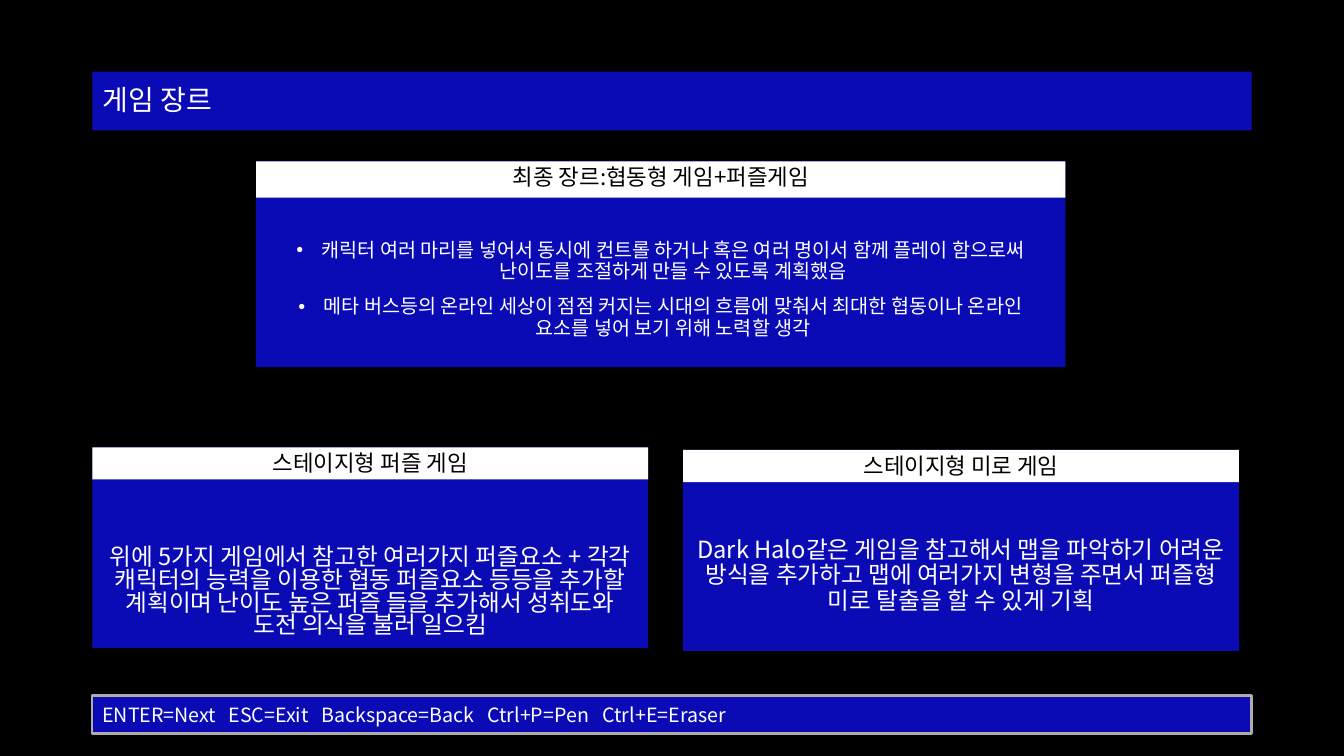
from lxml import etree
from pptx import Presentation, util as u
from pptx.dml.color import RGBColor
from pptx.enum import shapes, text
from pptx.oxml.ns import qn

FONT = "Noto Sans CJK KR"
BLUE, WHITE, BLACK, GRAY = "0B0BB6", "FFFFFF", "000000", "AFABAB"
LEFT, CENTER = text.PP_ALIGN.LEFT, text.PP_ALIGN.CENTER
TOP, MIDDLE = text.MSO_ANCHOR.TOP, text.MSO_ANCHOR.MIDDLE


def paint(color_holder, color):
    """Apply a hex colour to a fill or a line fill."""
    color_holder.solid()
    color_holder.fore_color.rgb = RGBColor.from_string(color)


def place(shape, box):
    shape.left, shape.top, shape.width, shape.height = map(u.Pt, box)


def add_bar(slide, box, color):
    bar = slide.shapes.add_shape(shapes.MSO_SHAPE.RECTANGLE, *map(u.Pt, box))
    bar.shadow.inherit = False
    paint(bar.fill, color)
    bar.line.fill.background()
    return bar


def write(shape, lines, size, color=WHITE, align=CENTER, anchor=TOP,
          spacing=0.9, bullets=False, inset=3.6):
    frame = shape.text_frame
    frame.text = "\n".join(lines)
    frame.word_wrap = True
    frame.auto_size = text.MSO_AUTO_SIZE.NONE
    frame.vertical_anchor = anchor
    frame.margin_top = u.Pt(inset)
    for index, paragraph in enumerate(frame.paragraphs):
        paragraph.alignment = align
        paragraph.line_spacing = spacing
        paragraph.space_before = u.Pt(10 if index else 0)
        # Bullet and hanging indent
        properties = paragraph._p.get_or_add_pPr()
        if shape.is_placeholder:
            indent = u.Pt(18) if bullets else 0
            properties.set("marL", str(indent))
            properties.set("indent", str(-indent))
        if bullets:
            etree.SubElement(properties, qn("a:buFont"), typeface="Arial")
            etree.SubElement(properties, qn("a:buChar"), char="•")
        else:
            etree.SubElement(properties, qn("a:buNone"))
        # Font, for Latin and Korean letters, without pair kerning
        font = paragraph.font
        font.size, font.bold, font.name = u.Pt(size), False, FONT
        paint(font.fill, color)
        font._rPr.set("kern", "0")
        etree.SubElement(font._rPr, qn("a:ea"), typeface=FONT)


def add_title(slide, box, title):
    shape = slide.shapes.title
    place(shape, box)
    paint(shape.fill, BLUE)
    write(shape, [title], 20, align=LEFT, anchor=MIDDLE)


def add_card(slide, box, header_height, heading, body, lines, size,
             drop, side=0, **style):
    """White heading over a blue panel; the body text starts below it."""
    left, top, width, height = box
    add_bar(slide, box, BLUE)
    header = add_bar(slide, (left, top, width, header_height), WHITE)
    write(header, [heading], 16, BLACK)
    offset = header_height + drop
    place(body, (left + side, top + offset, width - 2 * side, height - offset))
    body._element.getparent().append(body._element)  # bring to front
    write(body, lines, size, **style)


def add_key_bar(slide, box, keys, tab_stops):
    bar = add_bar(slide, box, BLUE)
    paint(bar.line.fill, GRAY)
    bar.line.width = u.Pt(1.5)
    write(bar, ["\t".join(keys)], 14, align=LEFT, anchor=MIDDLE, spacing=1.0)
    properties = bar.text_frame.paragraphs[0]._p.pPr
    tabs = etree.Element(qn("a:tabLst"))
    for stop in tab_stops:
        etree.SubElement(tabs, qn("a:tab"), pos=str(u.Pt(stop)), algn="l")
    properties.find(qn("a:defRPr")).addprevious(tabs)


def build_genre_slide(presentation):
    slide = presentation.slides.add_slide(presentation.slide_layouts[4])
    paint(slide.background.fill, BLACK)
    bodies = {p.placeholder_format.idx: p for p in slide.placeholders}
    spare = bodies[3]._element
    spare.getparent().remove(spare)

    add_title(slide, (66, 51.2, 828, 42), "게임 장르")
    add_key_bar(slide, (66, 496.8, 828, 27.2),
                ["ENTER=Next", "ESC=Exit", "Backspace=Back",
                 "Ctrl+P=Pen", "Ctrl+E=Eraser"],
                [90.2, 156.5, 275.2, 357.4])

    # Final genre
    add_card(slide, (183, 115.2, 578, 147), 26, "최종 장르:협동형 게임+퍼즐게임",
             bodies[1],
             ["캐릭터 여러 마리를 넣어서 동시에 컨트롤 하거나 혹은 여러 명이서 "
              "함께 플레이 함으로써 난이도를 조절하게 만들 수 있도록 계획했음",
              "메타 버스등의 온라인 세상이 점점 커지는 시대의 흐름에 맞춰서 "
              "최대한 협동이나 온라인 요소를 넣어 보기 위해 노력할 생각"],
             14, drop=0.7, side=11.2, bullets=True, inset=30)

    # Two stage types
    add_card(slide, (66, 319.5, 397, 143.5), 23, "스테이지형 퍼즐 게임",
             bodies[2],
             ["위에 5가지 게임에서 참고한 여러가지 퍼즐요소 + 각각 캐릭터의 능력을 "
              "이용한 협동 퍼즐요소 등등을 추가할 계획이며 난이도 높은 퍼즐 들을 "
              "추가해서 성취도와 도전 의식을 불러 일으킴"],
             16.9, drop=15, spacing=0.8, inset=33.6)
    add_card(slide, (488, 321.4, 397, 143.5), 23, "스테이지형 미로 게임",
             bodies[4],
             ["Dark Halo같은 게임을 참고해서 맵을 파악하기 어려운 방식을 추가하고 "
              "맵에 여러가지 변형을 주면서 퍼즐형 미로 탈출을 할 수 있게 기획"],
             16.9, drop=7.2, inset=32.6)


def main():
    presentation = Presentation()
    presentation.slide_width, presentation.slide_height = u.Pt(960), u.Pt(540)
    build_genre_slide(presentation)
    presentation.save("out.pptx")


if __name__ == "__main__":
    main()
